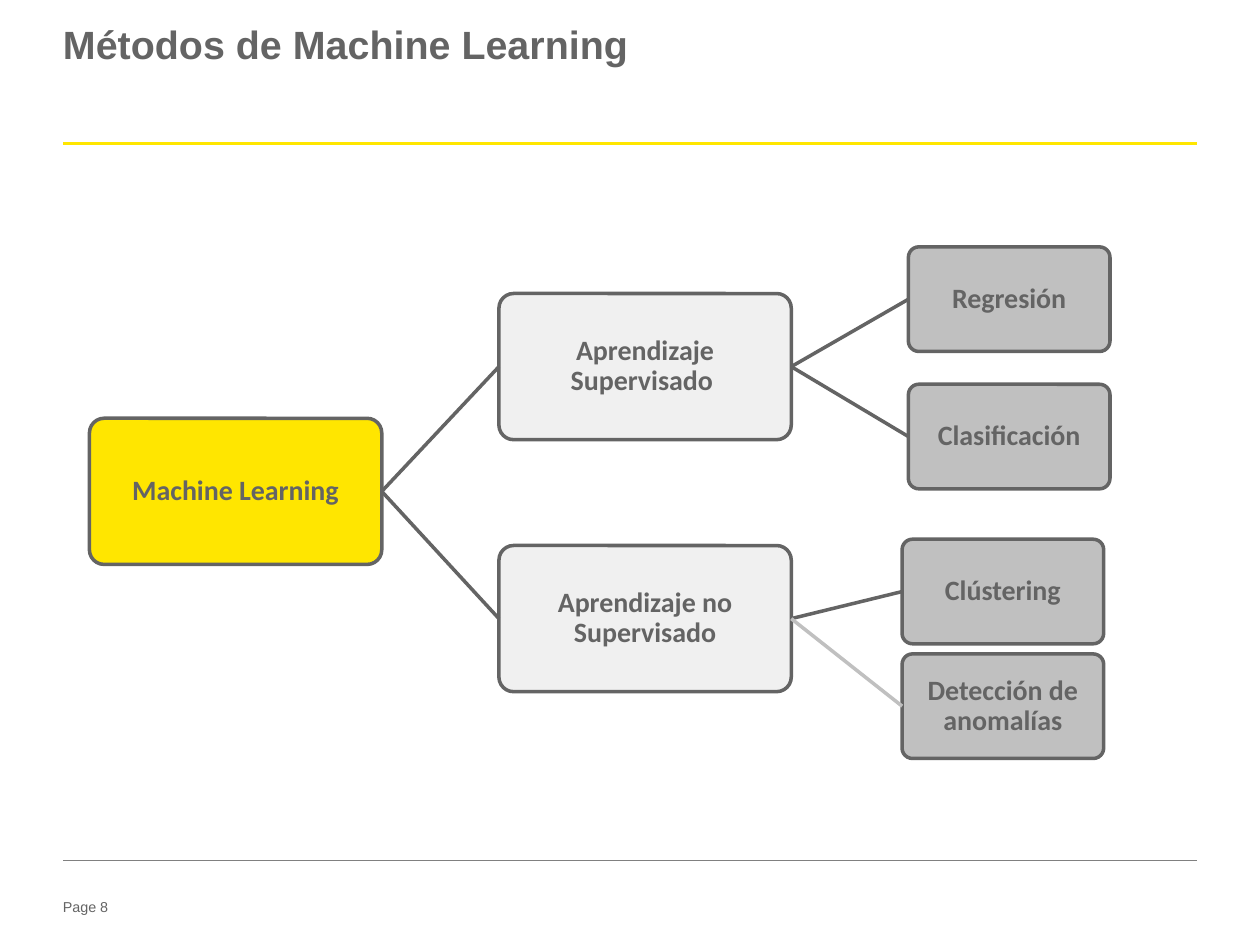
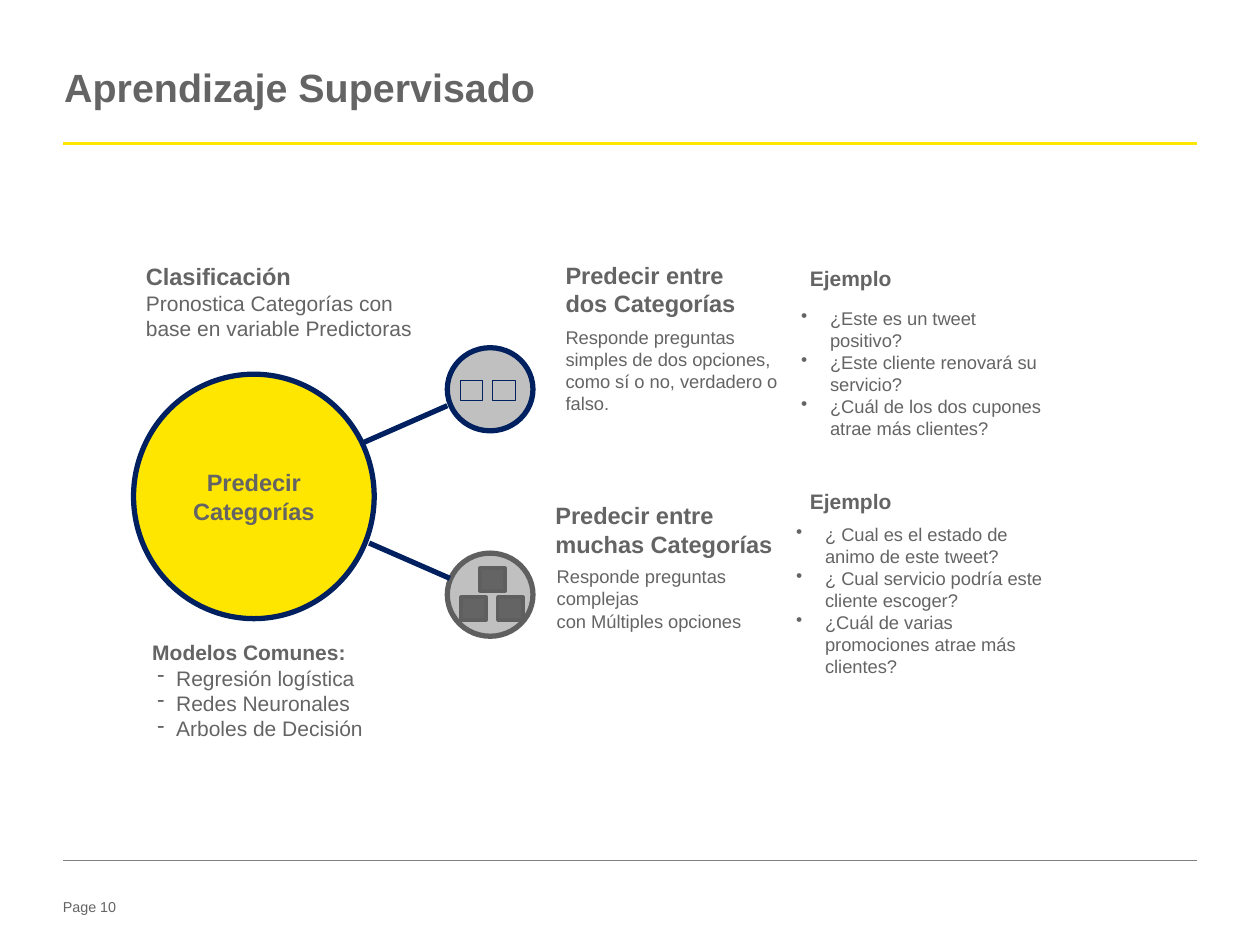
from pptx import Presentation
from pptx.dml.color import RGBColor
from pptx.enum.shapes import MSO_CONNECTOR, MSO_SHAPE
from pptx.enum.text import MSO_ANCHOR, PP_ALIGN
from pptx.oxml.ns import qn
from pptx.util import Inches, Pt
from lxml.etree import SubElement

GREY, GOLD, NAVY = "646464", "FFE600", "002060"
PALE, MID, DARK = "F0F0F0", "C0C0C0", "5F5F5F"
BULLETS = {"•": (0.23, 0.23), "-": (0.19, 0.15)}
hue = RGBColor.from_string


def draw(slide, kind, area, fill, edge, width):
    shape = slide.shapes.add_shape(kind, *map(Inches, area))
    shape.shadow.inherit = False
    shape.fill.solid()
    shape.fill.fore_color.rgb = hue(fill)
    shape.line.color.rgb = hue(edge)
    shape.line.width = Pt(width)
    return shape


def write(shape, rows, font="Arial", inset=None, space=None, align=None):
    frame = shape.text_frame
    frame.word_wrap = True
    if inset is not None:
        frame.margin_left = frame.margin_right = Inches(inset)
        frame.margin_top = frame.margin_bottom = Inches(inset)
    if align is not None:
        frame.vertical_anchor = MSO_ANCHOR.MIDDLE
    for i, (text, size, bold, mark) in enumerate(rows):
        para = frame.add_paragraph() if i else frame.paragraphs[0]
        if mark:
            props = para._p.get_or_add_pPr()
            left, hang = BULLETS[mark]
            props.set("marL", str(Inches(left)))
            props.set("indent", str(-Inches(hang)))
            SubElement(props, qn("a:buChar")).set("char", mark)
        if space:
            para.line_spacing = space
        if align is not None:
            para.alignment = align
        run = para.add_run()
        run.text = text
        run.font.name = font
        run.font.size = Pt(size)
        run.font.bold = bold
        run.font.color.rgb = hue(GREY)


deck = Presentation()
deck.slide_width, deck.slide_height = Inches(10), Inches(7.5)
tree, detail = [deck.slides.add_slide(deck.slide_layouts[6]) for _ in range(2)]

links = []
for slide, title, left, top, page in [
    (tree, "Métodos de Machine Learning", 0.5, 0.22, 8),
    (detail, "Aprendizaje Supervisado", 0.51, 0.56, 10),
]:
    head = slide.shapes.add_textbox(Inches(left), Inches(top), Inches(9), Inches(0.7))
    write(head, [(title, 22.5, True, None)], inset=0, space=0.85)
    foot = slide.shapes.add_textbox(Inches(0.5), Inches(7.13), Inches(0.73), Inches(0.22))
    write(foot, [(f"Page {page}", 8.2, False, None)], inset=0)
    links.append((slide, (0.5, 1.14), (9.5, 1.14), GOLD, 1.5))
    links.append((slide, (0.5, 6.83), (9.5, 6.83), "808080", 0.25))

BIG, SMALL = (2.32, 1.16), (1.6, 0.83)
ports = {}
for key, text, left, top, size, fill, root, ink in [
    ("ml", "Machine Learning", 0.71, 3.32, BIG, GOLD, None, GREY),
    ("sup", "Aprendizaje Supervisado ", 3.96, 2.33, BIG, PALE, "ml", GREY),
    ("non", "Aprendizaje no Supervisado", 3.96, 4.33, BIG, PALE, "ml", GREY),
    ("reg", "Regresión", 7.21, 1.96, SMALL, MID, "sup", GREY),
    ("cla", "Clasificación", 7.21, 3.05, SMALL, MID, "sup", GREY),
    ("clu", "Clústering", 7.16, 4.28, SMALL, MID, "non", GREY),
    ("det", "Detección de anomalías", 7.16, 5.19, SMALL, MID, "non", MID),
]:
    wide, high = size
    node = draw(tree, MSO_SHAPE.ROUNDED_RECTANGLE, (left, top, wide, high), fill, GREY, 2)
    node.adjustments[0] = 0.1
    write(node, [(text, 16, True, None)], "Calibri", 0.04, 0.9, PP_ALIGN.CENTER)
    middle = top + high / 2
    ports[key] = (left + wide, middle)
    if root:
        links.append((tree, ports[root], (left, middle), ink, 2))

goal = draw(detail, MSO_SHAPE.OVAL, (1.06, 2.97, 1.91, 1.94), GOLD, NAVY, 3)
write(goal, [("Predecir Categorías", 13.5, True, None)], align=PP_ALIGN.CENTER)
for top, edge in [(2.76, NAVY), (4.39, DARK)]:
    draw(detail, MSO_SHAPE.OVAL, (3.55, top, 0.68, 0.66), MID, edge, 3)
for left in (3.65, 3.91):
    draw(detail, MSO_SHAPE.RECTANGLE, (left, 3.02, 0.18, 0.16), MID, NAVY, 0.25)
for left, top in [(3.66, 4.74), (3.95, 4.74), (3.81, 4.51)]:
    draw(detail, MSO_SHAPE.RECTANGLE, (left, top, 0.2, 0.18), GREY, DARK, 2)
links.append((detail, (2.89, 3.51), (3.55, 3.22), NAVY, 3))
links.append((detail, (2.93, 4.31), (3.57, 4.59), NAVY, 3))

for area, rows in [
    ((1.06, 2.03, 2.46, 0.74), [
        ("Clasificación", 13.5, True, None),
        ("Pronostica Categorías con base en variable Predictoras", 12, False, None),
    ]),
    ((4.39, 2.02, 1.8, 0.56), [
        ("Predecir entre", 13.5, True, None),
        ("dos Categorías", 13.5, True, None),
    ]),
    ((4.31, 3.93, 2.1, 0.56), [
        ("Predecir entre", 13.5, True, None),
        ("muchas Categorías", 13.5, True, None),
    ]),
    ((4.39, 2.54, 2.01, 0.81), [
        ("Responde preguntas simples de dos opciones, como sí o no, verdadero o falso.",
         10.5, False, None),
    ]),
    ((4.32, 4.44, 2.01, 0.63), [
        ("Responde preguntas complejas", 10.5, False, None),
        ("con Múltiples opciones", 10.5, False, None),
    ]),
    ((6.33, 2.06, 0.9, 0.3), [("Ejemplo", 12, True, None)]),
    ((6.33, 3.83, 0.9, 0.3), [("Ejemplo", 12, True, None)]),
    ((6.26, 2.39, 2.11, 1.34), [
        ("¿Este es un tweet positivo?", 10.5, False, "•"),
        ("¿Este cliente renovará su servicio?", 10.5, False, "•"),
        ("¿Cuál de los dos cupones atrae más clientes?", 10.5, False, "•"),
    ]),
    ((6.22, 4.1, 2.31, 1.34), [
        ("¿ Cual es el estado de animo de este tweet?", 10.5, False, "•"),
        ("¿ Cual servicio podría este cliente escoger?", 10.5, False, "•"),
        ("¿Cuál de varias promociones atrae más clientes?", 10.5, False, "•"),
    ]),
    ((1.11, 5.03, 2.15, 0.91), [
        ("Modelos Comunes:", 12, True, None),
        ("Regresión logística", 12, False, "-"),
        ("Redes Neuronales", 12, False, "-"),
        ("Arboles de Decisión", 12, False, "-"),
    ]),
]:
    write(detail.shapes.add_textbox(*map(Inches, area)), rows)

for slide, start, end, ink, width in links:
    link = slide.shapes.add_connector(MSO_CONNECTOR.STRAIGHT, *map(Inches, start + end))
    link.line.color.rgb = hue(ink)
    link.line.width = Pt(width)
    SubElement(link._element.spPr, qn("a:effectLst"))

deck.save("out.pptx")
